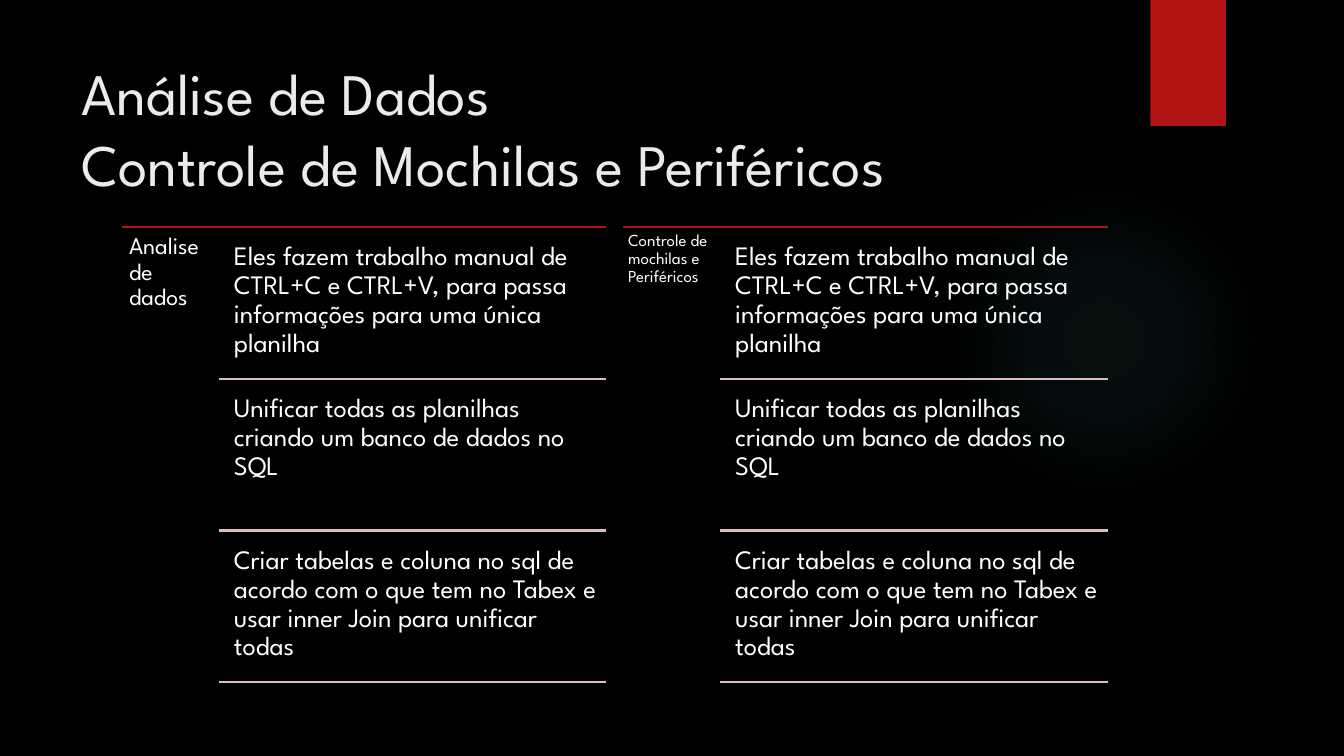
from lxml.etree import SubElement
from pptx import Presentation
from pptx.dml.color import RGBColor
from pptx.enum.shapes import MSO_CONNECTOR as Connector, MSO_SHAPE as Shape
from pptx.enum.text import MSO_ANCHOR as Anchor
from pptx.oxml import parse_xml
from pptx.oxml.ns import nsdecls, qn
from pptx.util import Inches, Pt

FONT = "League Spartan"
RED, ROSE, WHITE = "B01513", "DCBDBD", "FFFFFF"
STEPS = [
    "Eles fazem trabalho manual de CTRL+C e CTRL+V, para passa informações para uma única planilha",
    "Unificar todas as planilhas criando um banco de dados no SQL",
    "Criar tabelas e coluna no sql de acordo com o que tem no Tabex e usar inner Join para unificar todas",
]


def color(value):
    """Turn a hex string into a colour."""
    return RGBColor.from_string(value)


def add_text(slide, text, left, top, width, height, size, fill=WHITE,
             inset=0.08, spacing=0.9, anchor=Anchor.TOP):
    """Add a wrapped text box holding one formatted paragraph."""
    box = slide.shapes.add_textbox(Inches(left), Inches(top), Inches(width), Inches(height))
    frame = box.text_frame
    frame.word_wrap = True
    frame.vertical_anchor = anchor
    frame.margin_left = frame.margin_right = Inches(inset)
    frame.margin_top = frame.margin_bottom = Inches(inset)
    paragraph = frame.paragraphs[0]
    paragraph.text = text
    paragraph.line_spacing = spacing
    paragraph.font.name = FONT
    paragraph.font.size = Pt(size)
    paragraph.font.color.rgb = color(fill)


def add_rule(slide, left, right, top, line_color):
    """Draw a horizontal rule without a shadow."""
    rule = slide.shapes.add_connector(
        Connector.STRAIGHT, Inches(left), Inches(top), Inches(right), Inches(top))
    rule.line.color.rgb = color(line_color)
    rule.line.width = Pt(1.5)
    SubElement(rule._element.spPr, qn("a:effectLst"))


def add_glow(slide, left, top, size):
    """Add a faint circular glow that fades outwards."""
    glow = slide.shapes.add_shape(
        Shape.OVAL, Inches(left), Inches(top), Inches(size), Inches(size))
    glow.shadow.inherit = False
    glow.line.fill.background()
    stops = "".join(
        f'<a:gs pos="{position * 1000}"><a:srgbClr val="50B9C1">'
        f'<a:alpha val="{alpha * 1000}"/></a:srgbClr></a:gs>'
        for position, alpha in [(0, 7), (36, 6), (69, 0)])
    gradient = parse_xml(
        f'<a:gradFill {nsdecls("a")}><a:gsLst>{stops}</a:gsLst><a:path path="circle">'
        '<a:fillToRect l="50000" t="50000" r="50000" b="50000"/></a:path></a:gradFill>')
    glow._element.spPr.find(qn("a:prstGeom")).addnext(gradient)


def add_ribbon(slide, left, top, width, height):
    """Add the red ribbon hanging from the top edge."""
    ribbon = slide.shapes.add_shape(
        Shape.RECTANGLE, Inches(left), Inches(top), Inches(width), Inches(height))
    ribbon.shadow.inherit = False
    ribbon.fill.solid()
    ribbon.fill.fore_color.rgb = color(RED)
    ribbon.line.fill.background()


def add_topic(slide, label, label_size, label_inset, left, top, width, height):
    """Add a labelled topic whose steps are parted by rules."""
    label_width = width * 0.2
    pitch = height / len(STEPS)
    step_left = left + label_width + 0.07
    add_rule(slide, left, left + width, top, RED)
    add_text(slide, label, left, top, label_width, height, label_size, inset=label_inset)
    for index, step in enumerate(STEPS):
        step_top = top + index * pitch
        add_text(slide, step, step_left, step_top + 0.08,
                 left + width - step_left, pitch - 0.08, 19)
        add_rule(slide, left + label_width, left + width, step_top + pitch, ROSE)


def main():
    """Build and save the presentation."""
    presentation = Presentation()
    presentation.slide_width = Inches(13.33)
    presentation.slide_height = Inches(7.5)
    slide = presentation.slides.add_slide(presentation.slide_layouts[6])
    slide.background.fill.solid()
    slide.background.fill.fore_color.rgb = color("000000")
    add_glow(slide, 9.41, 1.83, 3.08)
    add_ribbon(slide, 11.41, 0, 0.75, 1.25)
    add_text(slide, "Análise de Dados\vControle de Mochilas e Periféricos",
             0.71, 0.5, 10.29, 1.53, 42, fill="EBEBEB", inset=0.1,
             spacing=1.0, anchor=Anchor.MIDDLE)
    add_topic(slide, "Analise de dados", 17, 0.07, 1.21, 2.25, 4.8, 4.52)
    add_topic(slide, "Controle de mochilas e Periféricos", 12, 0.05, 6.18, 2.25, 4.81, 4.52)
    presentation.save("out.pptx")


if __name__ == "__main__":
    main()
